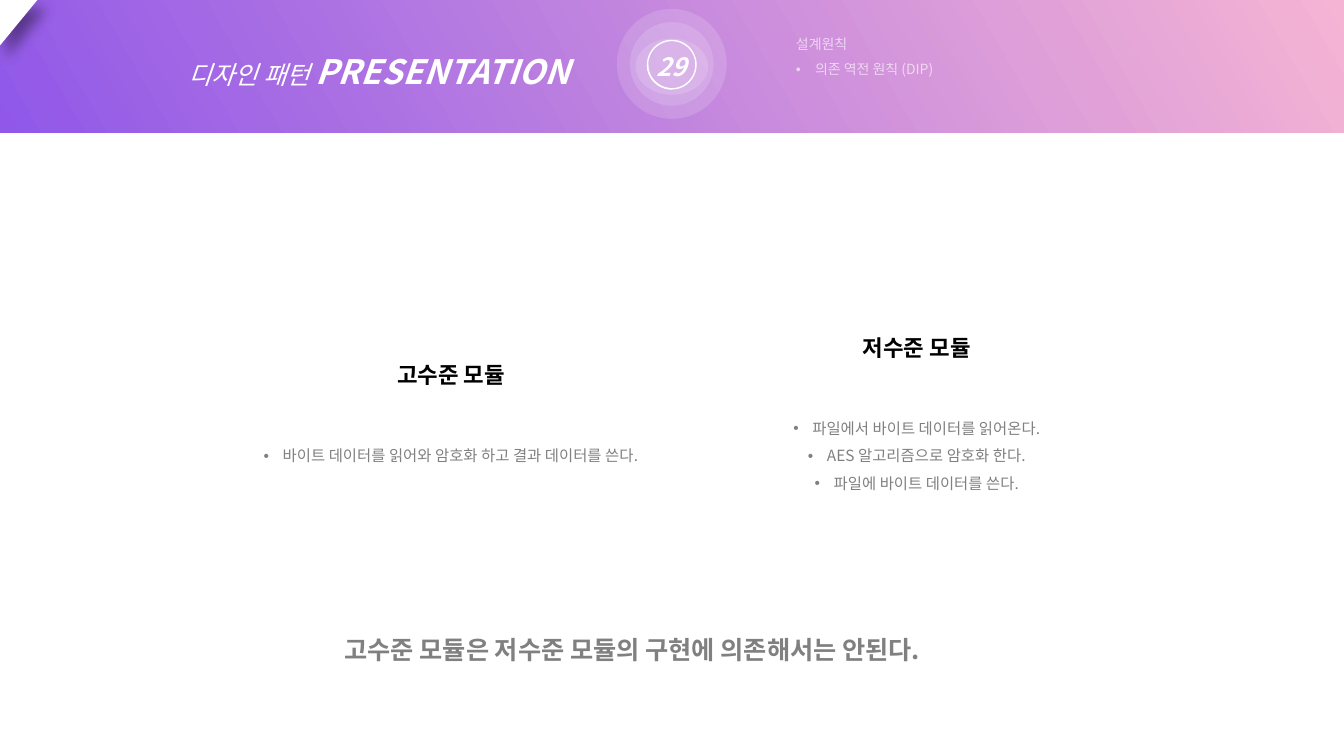
"""Build the slide on the dependency inversion principle."""
import pptx
import pptx.util
import pptx.dml.color
import pptx.enum.shapes
import pptx.enum.text
import pptx.oxml
import pptx.oxml.ns
import lxml.etree

Cm, Pt = pptx.util.Cm, pptx.util.Pt
qn = pptx.oxml.ns.qn
kinds = pptx.enum.shapes.MSO_SHAPE
sides = pptx.enum.text.PP_ALIGN
anchors = pptx.enum.text.MSO_ANCHOR
FACE = "Noto Sans CJK KR"
WHITE, GREY, BLACK = "FFFFFF", "808080", "000000"

title = [("디자인 패턴 ", 18, False), ("PRESENTATION", 24, True)]
page = "29"
topic = ("설계원칙", "의존 역전 원칙 (DIP)")
modules = [
    ("고수준 모듈", ["바이트 데이터를 읽어와 암호화 하고 결과 데이터를 쓴다."]),
    ("저수준 모듈", ["파일에서 바이트 데이터를 읽어온다.",
                "AES 알고리즘으로 암호화 한다.",
                "파일에 바이트 데이터를 쓴다."]),
]
rule = "고수준 모듈은 저수준 모듈의 구현에 의존해서는 안된다."
rings = [(2.77, 2.77, 1.61), (2.11, 2.11, 1.61), (1.83, 1.42, 1.68)]
arcs = [(-90, 0), (90.97, 179.98)]
stops = [("732BE4", 79), ("F49FC8", 77)]
MID, ARC = 16.93, 1.22


def tint(color, code, alpha=100):
    """Set a colour and its opacity in percent."""
    color.rgb = pptx.dml.color.RGBColor.from_string(code)
    if alpha < 100:
        for node in color._xFill.iter(qn("a:srgbClr")):
            lxml.etree.SubElement(node, qn("a:alpha"), val=str(alpha * 1000))


def draw(kind, left, top, wide, high, code=None, alpha=100):
    """Add a preset shape without outline or shadow."""
    shape = slide.shapes.add_shape(kind, Cm(left), Cm(top), Cm(wide), Cm(high))
    shape.shadow.inherit = False
    shape.line.fill.background()
    if code:
        shape.fill.solid()
        tint(shape.fill.fore_color, code, alpha)
    else:
        shape.fill.background()
    return shape


def box(left, top, wide, high):
    """Add a wrapping text box and return its frame."""
    frame = slide.shapes.add_textbox(Cm(left), Cm(top), Cm(wide), Cm(high)).text_frame
    frame.word_wrap = True
    return frame


def style(run, size, code, bold=False, slant=False, alpha=100):
    """Format one run."""
    font = run.font
    font.size, font.bold, font.italic = Pt(size), bold, slant
    font.fill.solid()
    if alpha < 100:
        font.color.rgb = pptx.dml.color.RGBColor.from_string(code)
        for node in run._r.iter(qn("a:srgbClr")):
            lxml.etree.SubElement(node, qn("a:alpha"), val=str(alpha * 1000))
    else:
        font.color.rgb = pptx.dml.color.RGBColor.from_string(code)
    font.name = FACE
    east = lxml.etree.SubElement(run._r.get_or_add_rPr(), qn("a:ea"))
    east.set("typeface", FACE)


def bullet(para):
    """Give a paragraph a round bullet and a hanging indent."""
    props = para._p.get_or_add_pPr()
    props.set("marL", str(Cm(0.48)))
    props.set("indent", str(-Cm(0.48)))
    lxml.etree.SubElement(props, qn("a:buFont"), typeface="Arial")
    lxml.etree.SubElement(props, qn("a:buChar"), char="•")


def fill(frame, lines, side, **look):
    """Write lines of (text, size, colour, bold, bulleted) into a frame."""
    frame.text = "\n".join(line[0] for line in lines)
    for para, (_, size, code, bold, dot) in zip(frame.paragraphs, lines):
        para.alignment, para.line_spacing = side, 1.5
        if dot:
            bullet(para)
        style(para.runs[0], size, code, bold, **look)


deck = pptx.Presentation()
deck.slide_width, deck.slide_height = Cm(33.87), Cm(19.05)
slide = deck.slides.add_slide(deck.slide_layouts[6])

band = draw(kinds.RECTANGLE, -0.03, 0, 33.91, 3.35)
band.fill.gradient()
band.fill.gradient_angle = 30
for stop, (code, alpha) in zip(band.fill.gradient_stops, stops):
    stop.color.rgb = pptx.dml.color.RGBColor.from_string(code)
for node, (code, alpha) in zip(band._element.spPr.iter(qn("a:srgbClr")), stops):
    lxml.etree.SubElement(node, qn("a:alpha"), val=str(alpha * 1000))

for wide, high, mid in rings:
    disc = draw(kinds.OVAL, MID - wide / 2, mid - high / 2, wide, high)
    disc.fill.solid()
    disc.fill.fore_color.rgb = pptx.dml.color.RGBColor.from_string(WHITE)
    for node in disc._element.spPr.iter(qn("a:srgbClr")):
        lxml.etree.SubElement(node, qn("a:alpha"), val="15000")
frame = disc.text_frame
frame.word_wrap = False
frame.vertical_anchor = anchors.MIDDLE
frame.text = page
frame.paragraphs[0].alignment = sides.CENTER
style(frame.paragraphs[0].runs[0], 18, WHITE, True, True)

for start, end in arcs:
    arc = draw(kinds.ARC, MID - ARC / 2, 1.02, ARC, ARC)
    arc.adjustments[0], arc.adjustments[1] = start * 0.6, end * 0.6
    arc.line.width = Pt(1)
    tint(arc.line.color, WHITE)

para = box(0.89, 0.66, 13.72, 1.6).paragraphs[0]
para.alignment, para.line_spacing = sides.RIGHT, 1.5
for text, size, bold in title:
    run = para.add_run()
    run.text = text
    style(run, size, WHITE, bold, True)

head, item = topic
fill(box(19.81, 0.56, 10.85, 1.55),
     [(head, 10, WHITE, False, False), (item, 10, WHITE, False, True)],
     sides.LEFT, alpha=63)

fold = draw(kinds.RIGHT_TRIANGLE, -0.18, 0.1, 1.24, 1.02, WHITE)
fold.rotation = 90
glow = lxml.etree.SubElement(
    fold._element.spPr.find(qn("a:effectLst")), qn("a:outerShdw"),
    blurRad=str(Pt(10)), dist=str(Pt(9)), dir=str(45 * 60000),
    algn="tl", rotWithShape="0")
shade = lxml.etree.SubElement(glow, qn("a:srgbClr"), val=BLACK)
lxml.etree.SubElement(shade, qn("a:alpha"), val="40000")

for col, (name, tasks) in enumerate(modules):
    frame = box(5.79 + col * 11.74, 8.05, 11.15, 4.39)
    frame.vertical_anchor = anchors.MIDDLE
    fill(frame, [(name, 16, BLACK, True, False)]
         + [(task, 11, GREY, False, True) for task in tasks], sides.CENTER)
    frame.paragraphs[0].space_after = Pt(35)

frame = box(8.43, 15.85, 16.99, 1.8)
fill(frame, [(rule, 18, GREY, True, False)], sides.LEFT)
frame.paragraphs[0].line_spacing = 1

deck.save("out.pptx")
